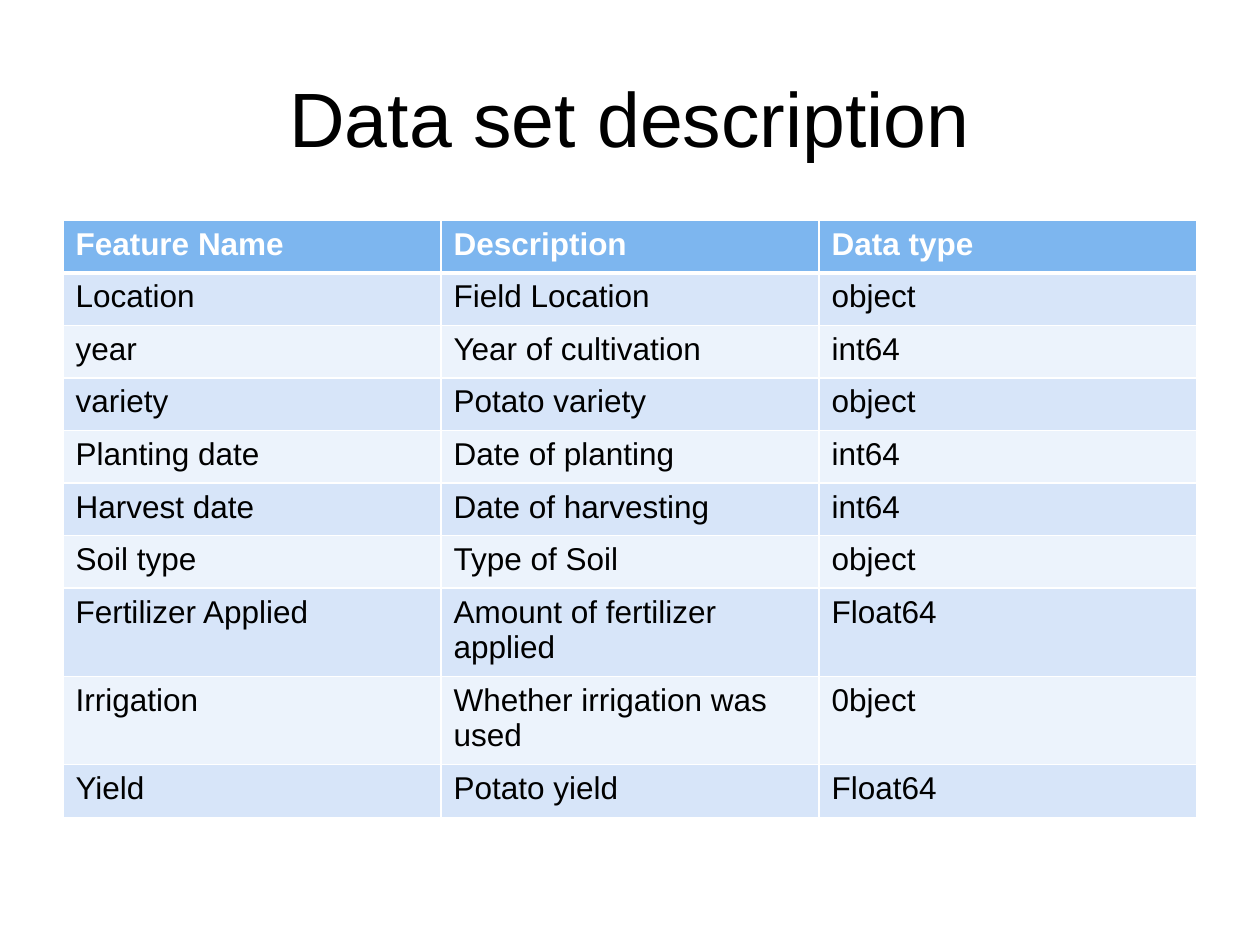
from pptx import Presentation, util as u
from pptx.dml.color import RGBColor
from pptx.enum import text
from pptx.oxml import parse_xml
from pptx.oxml.ns import nsdecls

FONT = "Arial"
BLACK = RGBColor(0x00, 0x00, 0x00)
WHITE = RGBColor(0xFF, 0xFF, 0xFF)
HEADER_BLUE = RGBColor(0x7D, 0xB6, 0xEF)
BANDS = (RGBColor(0xEC, 0xF3, 0xFC), RGBColor(0xD7, 0xE5, 0xF9))

FEATURES = [
    ("Feature Name", "Description", "Data type"),
    ("Location", "Field Location", "object"),
    ("year", "Year of cultivation", "int64"),
    ("variety", "Potato variety", "object"),
    ("Planting date", "Date of planting", "int64"),
    ("Harvest date", "Date of harvesting", "int64"),
    ("Soil type", "Type of Soil", "object"),
    ("Fertilizer Applied", "Amount of fertilizer applied", "Float64"),
    ("Irrigation", "Whether irrigation was used", "0bject"),
    ("Yield", "Potato yield", "Float64"),
]


def format_text(tf, size, color, bold=False):
    """Apply one font to every run of a text frame."""
    for p in tf.paragraphs:
        for r in p.runs:
            r.font.name = FONT
            r.font.size = u.Pt(size)
            r.font.bold = bold
            r.font.color.rgb = color


def add_title(s, title):
    """Add the centred slide title."""
    sp = s.shapes.add_textbox(u.Inches(0.5), u.Inches(0.3), u.Inches(9), u.Inches(1.25))
    tf = sp.text_frame
    tf.word_wrap = True
    tf.vertical_anchor = text.MSO_ANCHOR.MIDDLE
    tf.text = title
    tf.paragraphs[0].alignment = text.PP_ALIGN.CENTER
    format_text(tf, 44, BLACK)


def set_borders(cell, widths):
    """Give a cell solid white borders with widths in points by side."""
    tc_pr = cell._tc.get_or_add_tcPr()
    for side, width in widths.items():
        tc_pr.append(parse_xml(
            f'<a:ln{side} {nsdecls("a")} w="{u.Pt(width)}"><a:solidFill>'
            f'<a:srgbClr val="{WHITE}"/></a:solidFill></a:ln{side}>'))


def add_feature_table(s, rows):
    """Add the table with a header row and banded body rows."""
    height = 0.417
    tbl = s.shapes.add_table(
        len(rows), len(rows[0]), u.Inches(0.5), u.Inches(1.75),
        u.Inches(9), u.Inches(height * len(rows))).table
    for i, row in enumerate(rows):
        tbl.rows[i].height = u.Inches(height)
        header = i == 0
        widths = {"L": 1, "R": 1, "T": 3 if i == 1 else 1, "B": 3 if header else 1}
        for j, value in enumerate(row):
            cell = tbl.cell(i, j)
            cell.text_frame.text = value
            format_text(cell.text_frame, 18, WHITE if header else BLACK, header)
            set_borders(cell, widths)
            cell.fill.solid()
            cell.fill.fore_color.rgb = HEADER_BLUE if header else BANDS[i % 2]


def main():
    """Build and save the data set slide."""
    prs = Presentation()
    prs.slide_width, prs.slide_height = u.Inches(10), u.Inches(7.5)
    s = prs.slides.add_slide(prs.slide_layouts[6])
    add_title(s, "Data set description")
    add_feature_table(s, FEATURES)
    prs.save("out.pptx")


if __name__ == "__main__":
    main()
